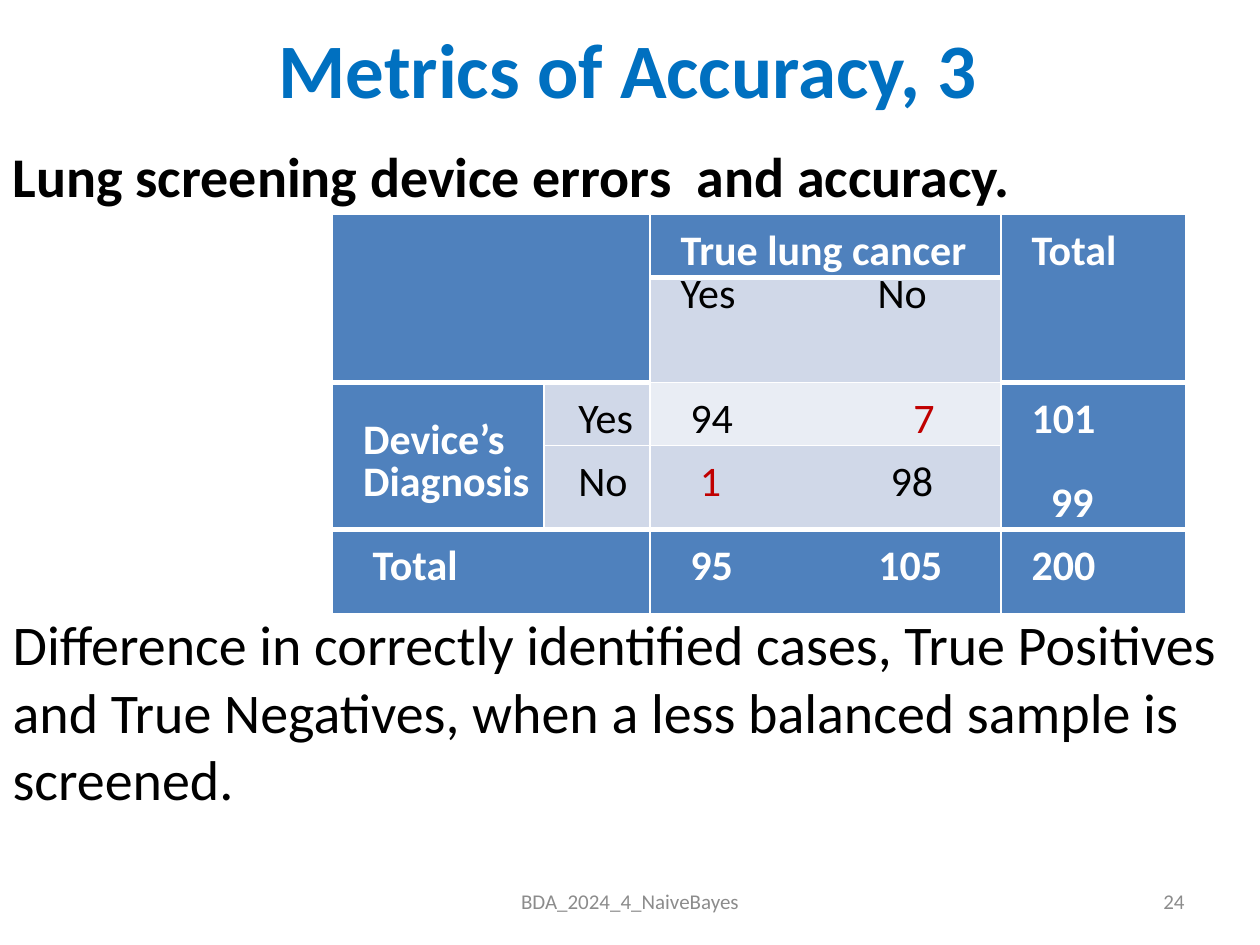
from lxml import etree
from pptx import Presentation
from pptx.dml.color import RGBColor
from pptx.enum.text import MSO_ANCHOR, MSO_AUTO_SIZE, PP_ALIGN
from pptx.oxml.ns import qn
from pptx.util import Pt

LEFT, CENTER, RIGHT = PP_ALIGN.LEFT, PP_ALIGN.CENTER, PP_ALIGN.RIGHT
MIDDLE, TOP = MSO_ANCHOR.MIDDLE, MSO_ANCHOR.TOP
NO_AUTOFIT = MSO_AUTO_SIZE.NONE

TITLE_BLUE = RGBColor(0x00, 0x70, 0xC0)
HEADER_BLUE = RGBColor(0x4F, 0x81, 0xBD)
BAND = RGBColor(0xD0, 0xD8, 0xE8)
PALE_BAND = RGBColor(0xE9, 0xED, 0xF4)
WHITE = RGBColor(0xFF, 0xFF, 0xFF)
BLACK = RGBColor(0x00, 0x00, 0x00)
RED = RGBColor(0xC0, 0x00, 0x00)
GRAY = RGBColor(0x8C, 0x8C, 0x8C)


def set_font(paragraph, size, color, bold=False):
    paragraph.font.name = "Calibri"
    paragraph.font.size = Pt(size)
    paragraph.font.bold = bold
    paragraph.font.color.rgb = color


def add_border(cell, side, width):
    line = etree.SubElement(cell._tc.get_or_add_tcPr(), qn(f"a:ln{side}"), w=str(Pt(width)))
    fill = etree.SubElement(line, qn("a:solidFill"))
    etree.SubElement(fill, qn("a:srgbClr"), val=str(WHITE))


presentation = Presentation()
presentation.slide_width = Pt(720)
presentation.slide_height = Pt(540)
slide = presentation.slides.add_slide(presentation.slide_layouts[1])

title = slide.shapes.title
title.left, title.top, title.width, title.height = Pt(14.4), Pt(0), Pt(689), Pt(77)
title.text_frame.text = "Metrics of Accuracy, 3"
title.text_frame.vertical_anchor = MIDDLE
title.text_frame.paragraphs[0].alignment = CENTER
set_font(title.text_frame.paragraphs[0], 44, TITLE_BLUE, True)

body = slide.placeholders[1]
body.left, body.top, body.width, body.height = Pt(0), Pt(77), Pt(720), Pt(395)
body.text_frame.auto_size = NO_AUTOFIT
body.text_frame.text = (
    "Lung screening device errors  and accuracy.\n"
    "Difference in correctly identified cases, True Positives and True Negatives, "
    "when a less balanced sample is screened."
)
for paragraph, space, bold in zip(body.text_frame.paragraphs, (0, 229.5), (True, False)):
    properties = paragraph._p.get_or_add_pPr()
    properties.set("marL", "0")
    properties.set("indent", "0")
    etree.SubElement(properties, qn("a:buNone"))
    paragraph.alignment = LEFT
    paragraph.space_before = Pt(space)
    set_font(paragraph, 32, BLACK, bold)

for text, left, width, alignment in (
    ("BDA_2024_4_NaiveBayes", 246, 228, CENTER),
    ("24", 516, 168, RIGHT),
):
    box = slide.shapes.add_textbox(Pt(left), Pt(500.5), Pt(width), Pt(28.75))
    box.text_frame.word_wrap = True
    box.text_frame.vertical_anchor = MIDDLE
    paragraph = box.text_frame.paragraphs[0]
    paragraph.text = text
    paragraph.alignment = alignment
    set_font(paragraph, 12, GRAY)

column_widths = (121, 60.5, 200.5, 105.5)
row_heights = (36, 60, 36, 48, 48)
table = slide.shapes.add_table(
    5, 4, Pt(190), Pt(122.5), Pt(sum(column_widths)), Pt(sum(row_heights))
).table
for column, width in zip(table.columns, column_widths):
    column.width = Pt(width)
for row, height in zip(table.rows, row_heights):
    row.height = Pt(height)

thick_edges = {(1, 2), (2, 0), (2, 1), (2, 3), (4, 0), (4, 1), (4, 2), (4, 3)}
for row in range(5):
    for column in range(4):
        cell = table.cell(row, column)
        add_border(cell, "L", 1)
        add_border(cell, "R", 1)
        add_border(cell, "T", 3 if (row, column) in thick_edges else 1)
        add_border(cell, "B", 3 if (row + 1, column) in thick_edges else 1)
        cell.fill.solid()
        cell.fill.fore_color.rgb = HEADER_BLUE

for first, last in (((0, 0), (1, 1)), ((0, 3), (1, 3)), ((2, 0), (3, 0)),
                    ((2, 3), (3, 3)), ((4, 0), (4, 1))):
    table.cell(*first).merge(table.cell(*last))

# row, column, fill, top margin, left margin, tab stop, lines
cells = (
    (0, 2, HEADER_BLUE, 24, 17.5, 0, ["True lung cancer"]),
    (0, 3, HEADER_BLUE, 24, 17.5, 0, ["Total"]),
    (1, 2, BAND, 12, 17.5, 112.5, ["Yes\tNo"]),
    (2, 0, HEADER_BLUE, 36, 17.5, 0, ["Device’s", "Diagnosis"]),
    (2, 1, BAND, 24, 19.5, 0, ["Yes"]),
    (2, 2, PALE_BAND, 24, 23, 127.5, ["94\t7"]),
    (2, 3, HEADER_BLUE, 24, 17.5, 0, ["101", "99"]),
    (3, 1, BAND, 24, 19.5, 0, ["No"]),
    (3, 2, BAND, 24, 28.5, 109, ["1\t98"]),
    (4, 0, HEADER_BLUE, 24, 23, 0, ["Total"]),
    (4, 2, HEADER_BLUE, 24, 23, 107.5, ["95\t105"]),
    (4, 3, HEADER_BLUE, 24, 17.5, 0, ["200"]),
)
line_gaps = {"Diagnosis": 12, "99": 36}
line_indents = {"99": 11}
error_counts = {"7", "1"}

for row, column, fill, top, left, tab_stop, lines in cells:
    cell = table.cell(row, column)
    cell.fill.solid()
    cell.fill.fore_color.rgb = fill
    cell.vertical_anchor = TOP
    cell.margin_left, cell.margin_top = Pt(left), Pt(top)
    cell.margin_right, cell.margin_bottom = Pt(5), Pt(0)
    header = fill == HEADER_BLUE
    for index, line in enumerate(lines):
        paragraph = cell.text_frame.paragraphs[0] if index == 0 else cell.text_frame.add_paragraph()
        paragraph.line_spacing = Pt(12)
        paragraph.space_before = Pt(line_gaps.get(line, 0))
        properties = paragraph._p.get_or_add_pPr()
        properties.set("marL", str(Pt(line_indents.get(line, 0))))
        if tab_stop:
            tabs = etree.SubElement(properties, qn("a:tabLst"))
            etree.SubElement(tabs, qn("a:tab"), pos=str(Pt(tab_stop)), algn="l")
        set_font(paragraph, 24, WHITE if header else BLACK, header)
        for position, value in enumerate(line.split("\t")):
            run = paragraph.add_run()
            run.text = "\t" + value if position else value
            if value in error_counts:
                run.font.color.rgb = RED

presentation.save("out.pptx")
